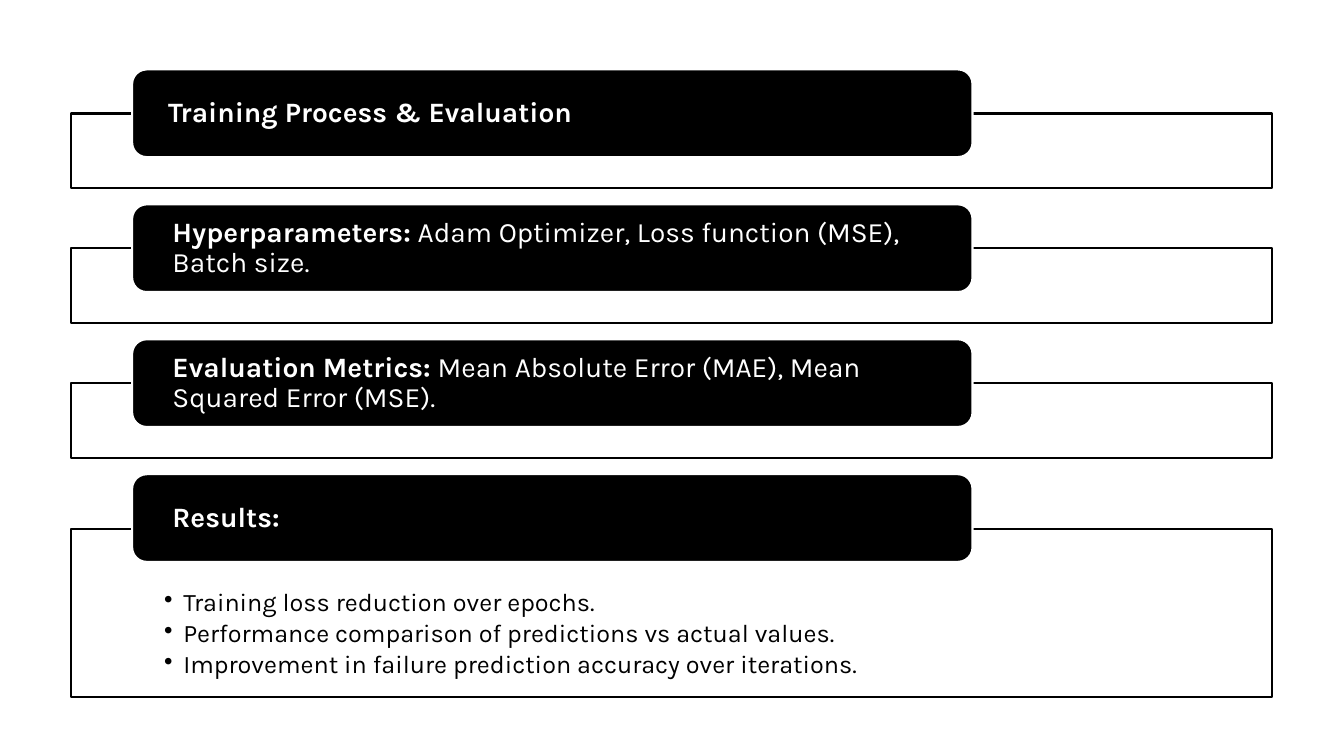
"""Build the training process and evaluation slide."""
from dataclasses import dataclass

from lxml.etree import SubElement
from pptx import Presentation
from pptx.dml.color import RGBColor
from pptx.enum.shapes import MSO_SHAPE
from pptx.enum.text import MSO_ANCHOR, MSO_AUTO_SIZE, PP_ALIGN
from pptx.oxml.ns import qn
from pptx.shapes.autoshape import Shape
from pptx.slide import Slide
from pptx.text.text import TextFrame, _Paragraph
from pptx.util import Cm, Pt


@dataclass(frozen=True)
class Theme:
    font: str = "Karla"
    dark: RGBColor = RGBColor(0, 0, 0)
    light: RGBColor = RGBColor(255, 255, 255)
    heading_size: Pt = Pt(20)
    bullet_size: Pt = Pt(18)
    heading_gap: Pt = Pt(7)
    bullet_gap: Pt = Pt(2.7)
    outline: Pt = Pt(1.5)
    panel_alpha: int = 90000


@dataclass(frozen=True)
class Section:
    heading: str
    detail: str = ""
    bullets: tuple[str, ...] = ()
    panel_offset: float = 1.11
    panel_height: float = 1.88


THEME = Theme()
BAR_LEFT, BAR_TOP, BAR_WIDTH, BAR_HEIGHT, BAR_STEP = 3.33, 1.75, 21.18, 2.21, 3.4
PANEL_LEFT, PANEL_WIDTH = 1.8, 30.25
BULLET_INDENT = Cm(0.48)

SECTIONS = (
    Section("Training Process & Evaluation"),
    Section("Hyperparameters:", " Adam Optimizer, Loss function (MSE), Batch size."),
    Section("Evaluation Metrics:", " Mean Absolute Error (MAE), Mean Squared Error (MSE)."),
    Section(
        "Results:",
        bullets=(
            "Training loss reduction over epochs.",
            "Performance comparison of predictions vs actual values.",
            "Improvement in failure prediction accuracy over iterations.",
        ),
        panel_offset=1.37,
        panel_height=4.24,
    ),
)


def apply_format(target: object, values: dict[str, object]) -> None:
    for name, value in values.items():
        setattr(target, name, value)


def add_box(slide: Slide, kind: MSO_SHAPE, left: float, top: float, width: float,
            height: float, fill: RGBColor, line: RGBColor) -> Shape:
    shape = slide.shapes.add_shape(kind, Cm(left), Cm(top), Cm(width), Cm(height))
    shape.shadow.inherit = False
    shape.fill.solid()
    shape.fill.fore_color.rgb = fill
    shape.line.color.rgb = line
    shape.line.width = THEME.outline
    return shape


def format_frame(frame: TextFrame, anchor: MSO_ANCHOR, side: float,
                 top: float = 0, bottom: float = 0) -> None:
    apply_format(frame, {
        "word_wrap": True, "auto_size": MSO_AUTO_SIZE.NONE, "vertical_anchor": anchor,
        "margin_left": Cm(side), "margin_right": Cm(side),
        "margin_top": Cm(top), "margin_bottom": Cm(bottom),
    })


def format_paragraph(paragraph: _Paragraph, size: Pt, color: RGBColor, gap: Pt) -> None:
    apply_format(paragraph, {
        "alignment": PP_ALIGN.LEFT, "line_spacing": 0.9,
        "space_before": Pt(0), "space_after": gap,
    })
    for run in paragraph.runs:
        apply_format(run.font, {"name": THEME.font, "size": size})
        run.font.color.rgb = color


def add_panel(slide: Slide, section: Section, bar_top: float) -> None:
    panel = add_box(slide, MSO_SHAPE.RECTANGLE, PANEL_LEFT, bar_top + section.panel_offset,
                    PANEL_WIDTH, section.panel_height, THEME.light, THEME.dark)
    color = panel.element.spPr.find(qn("a:solidFill"))[0]
    SubElement(color, qn("a:alpha")).set("val", str(THEME.panel_alpha))
    frame = panel.text_frame
    format_frame(frame, MSO_ANCHOR.TOP, side=2.34, top=1.55, bottom=0.36)
    for index, text in enumerate(section.bullets):
        paragraph = frame.add_paragraph() if index else frame.paragraphs[0]
        properties = paragraph._p.get_or_add_pPr()
        properties.set("marL", str(BULLET_INDENT))
        properties.set("indent", str(-BULLET_INDENT))
        SubElement(properties, qn("a:buChar")).set("char", "•")
        paragraph.add_run().text = text
        format_paragraph(paragraph, THEME.bullet_size, THEME.dark, THEME.bullet_gap)


def write_heading(shape: Shape, section: Section) -> None:
    format_frame(shape.text_frame, MSO_ANCHOR.MIDDLE, side=0.91)
    paragraph = shape.text_frame.paragraphs[0]
    for text, bold in ((section.heading, True), (section.detail, False)):
        if text:
            run = paragraph.add_run()
            run.text = text
            run.font.bold = bold
    format_paragraph(paragraph, THEME.heading_size, THEME.light, THEME.heading_gap)


def place_title(slide: Slide, bar: Shape) -> Shape:
    title = slide.shapes.title
    apply_format(title, {name: getattr(bar, name) for name in ("left", "top", "width", "height")})
    bar.element.addnext(title.element)
    return title


def main() -> None:
    presentation = Presentation()
    apply_format(presentation, {"slide_width": Cm(33.87), "slide_height": Cm(19.05)})
    slide = presentation.slides.add_slide(presentation.slide_layouts.get_by_name("Title Only"))
    for index, section in enumerate(SECTIONS):
        bar_top = BAR_TOP + index * BAR_STEP
        add_panel(slide, section, bar_top)
        bar = add_box(slide, MSO_SHAPE.ROUNDED_RECTANGLE, BAR_LEFT, bar_top,
                      BAR_WIDTH, BAR_HEIGHT, THEME.dark, THEME.light)
        write_heading(bar if index else place_title(slide, bar), section)
    presentation.save("out.pptx")


if __name__ == "__main__":
    main()
